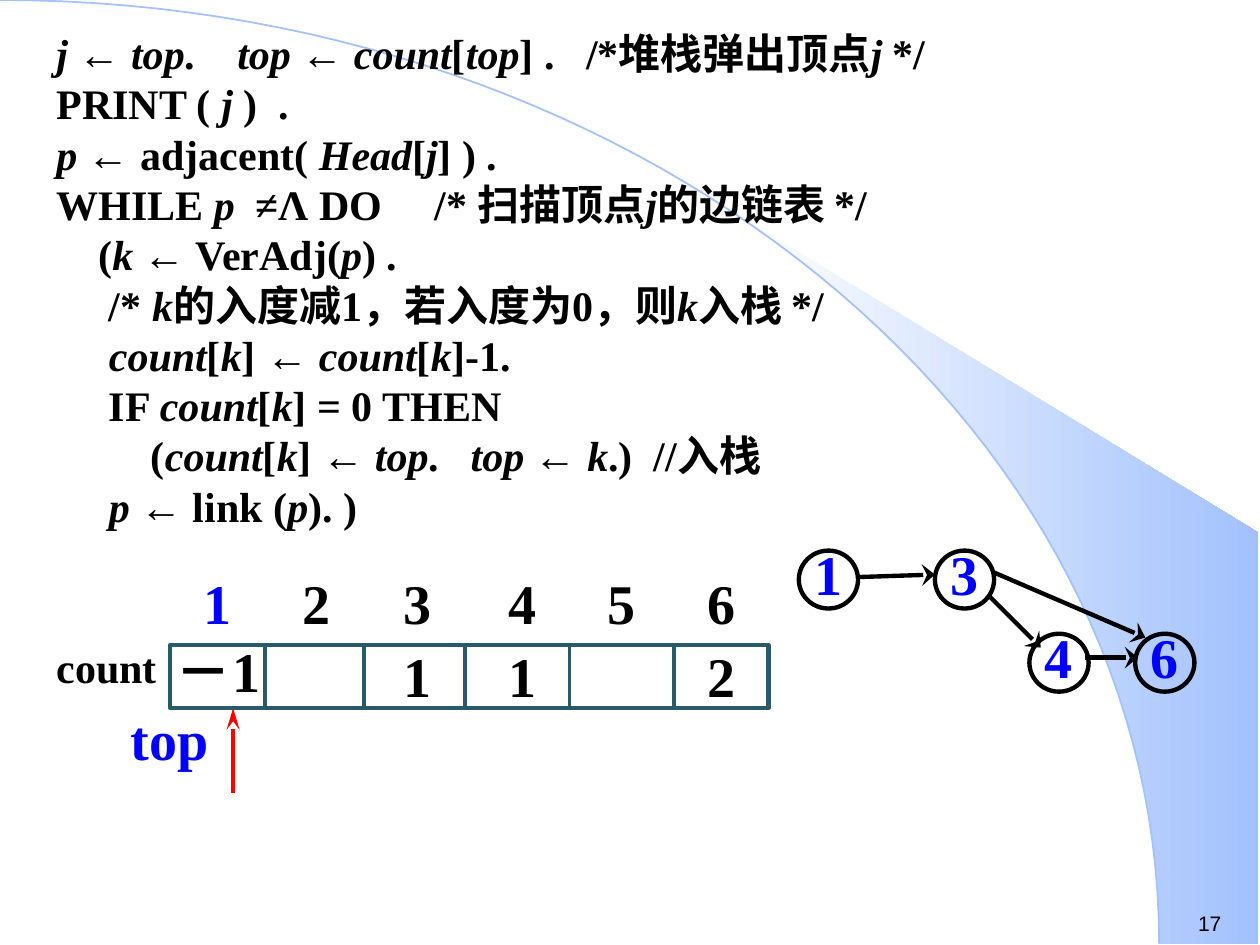
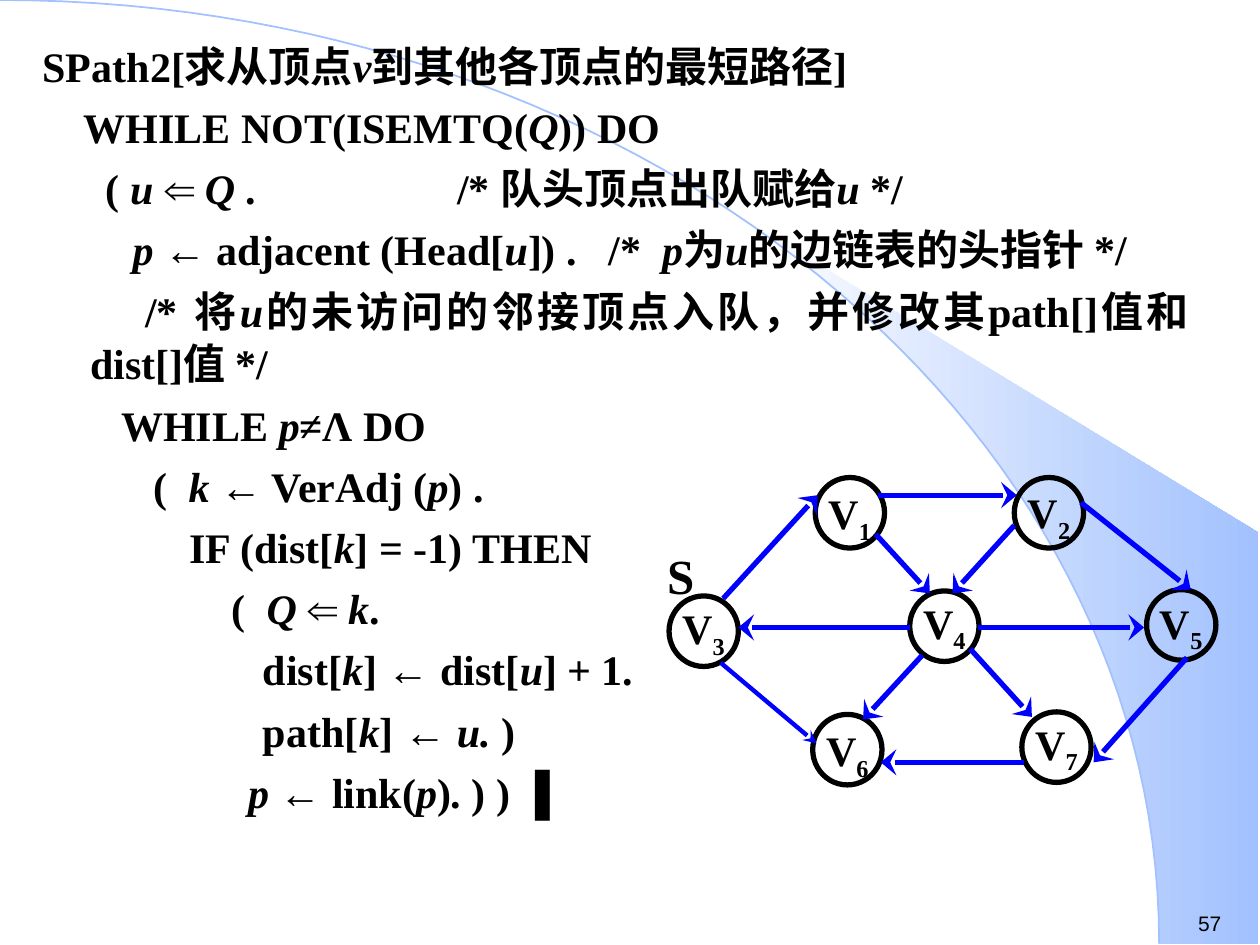
"""Build two slides of graph pseudocode with their diagrams."""
import pptx
import pptx.dml.color
import pptx.enum.shapes
import pptx.enum.text
import pptx.oxml.ns
import pptx.util
from dataclasses import dataclass
from lxml import etree

Inches = pptx.util.Inches
Pt = pptx.util.Pt
Align = pptx.enum.text.PP_ALIGN
Shape = pptx.enum.shapes.MSO_SHAPE
qn = pptx.oxml.ns.qn


@dataclass(frozen=True)
class Theme:
    ink: str = "000000"
    accent: str = "0000FF"
    pointer: str = "FF0000"
    table: str = "295A69"
    white: str = "FFFFFF"
    sky: str = "A2C1FE"
    serif: str = "Times New Roman"
    sans: str = "Arial"
    code: int = 24
    start: int = 28
    large: int = 32
    number: int = 12


theme = Theme()

ARC = [(0, 0), (5.08, 0), (9.2, 3.35), (9.2, 7.49)]
BAND_START = (5.89, 1.73)
BAND_CORNERS = [(9.99, 7.49), (9.99, 4.23)]

# Each code line: left margin, first-line indent, text with _italics_ marked.
TOPOLOGICAL_CODE = [
    (0, 0, "_j _← _top_.    _top _← _count_[_top_] .   /*堆栈弹出顶点_j_ */"),
    (0, 0, "PRINT ( _j _)  ."),
    (0, 0, "_p _← adjacent( _Head_[_j_] ) ."),
    (0, 0, "WHILE_ p  _≠Λ DO\t/* 扫描顶点_j_的边链表 */"),
    (0, 0, "    (_k _← VerAdj(_p_) ."),
    (0, 0, "     /* _k_的入度减1，若入度为0，则_k_入栈 */"),
    (0, 0, "     _count_[_k_] ← _count_[_k_]-1."),
    (0, 0, "     IF _count_[_k_] = 0 THEN"),
    (0, 0, "         (_count_[_k_] ← _top_.   _top _← _k_.)  //入栈"),
    (0, 0, "     _p _← link (_p_). )"),
]
SHORTEST_PATH_CODE = [
    (0, 0, "SPath2[求从顶点_v_到其他各顶点的最短路径]"),
    (0, 0, "    WHILE NOT(ISEMTQ(_Q_)) DO"),
    (0.29, -0.29, "      ( _u _⇐_ Q_ .\t\t\t\t/* 队头顶点出队赋给_u_ */"),
    (0.38, 0, "    _p _← adjacent (Head[_u_]) .   /*  _p_为_u_的边链表的头指针 */"),
    (0.38, 0, "    /* 将_u_的未访问的邻接顶点入队，并修改其path[]值和dist[]值 */"),
    (0.38, 0, "   WHILE _p_≠Λ DO"),
    (0.38, 0, "      (  _k _← VerAdj (_p_) ."),
    (0, 0, "              IF (dist[_k_] = -1) THEN"),
    (0, 0, "                  (  _Q _⇐ _k_."),
    (0, 0, "                     dist[_k_] ← dist[_u_] + 1."),
    (0, 0, "                     path[_k_] ← _u. _)"),
    (0.38, 0, "               _p _← link(_p_). ) ) ▐"),
]

COUNT_EDGES = [1.35, 2.1, 2.89, 3.69, 4.52, 5.35, 6.1]
COUNT_TOP, COUNT_BOTTOM = 5.12, 5.62
COUNT_LABEL_LEFTS = [1.35, 2.14, 2.94, 3.77, 4.56, 5.35]
COUNT_VALUES = [
    (1.19, 5, 1.08, "－1"), (2.94, 5.04, 0.75, "1"),
    (3.77, 5.04, 0.75, "1"), (5.35, 5.04, 0.75, "2"),
]

# Each node: left, top, downward shift of its label.
SMALL_NODES = {
    "1": (6.34, 4.37, -0.05), "3": (7.42, 4.37, -0.05),
    "4": (8.17, 5.03, -0.05), "6": (9.01, 5.03, -0.05),
}
SMALL_ARROWS = [
    (6.81, 4.58, 7.42, 4.56), (7.84, 4.72, 8.26, 5.14),
    (8.61, 5.22, 9.03, 5.22), (7.88, 4.54, 9.09, 5.06),
]
PATH_NODES = {
    "1": (6.47, 3.79, 0.03), "2": (8.05, 3.79, 0.02), "3": (5.31, 4.73, 0),
    "4": (7.22, 4.69, 0), "5": (9.1, 4.68, 0.01), "6": (6.45, 5.67, 0.03),
    "7": (8.11, 5.65, 0),
}
PATH_ARROWS = [
    (5.74, 4.75, 6.49, 3.93), (6.97, 3.93, 8.07, 3.93), (8.58, 3.99, 9.45, 4.68),
    (9.42, 5.22, 8.68, 6.05), (8.13, 6.05, 6.99, 6.05), (7.22, 4.98, 5.86, 4.98),
    (7.76, 4.98, 9.08, 4.98), (6.95, 4.24, 7.38, 4.71), (8.05, 4.17, 7.56, 4.71),
    (7.32, 5.2, 6.85, 5.71), (7.7, 5.15, 8.19, 5.69),
]
PATH_LAST_ARROW = (5.72, 5.26, 6.48, 5.9)

WIDE_HEAD = {"type": "stealth", "w": "lg", "len": "med"}
LONG_HEAD = {"type": "stealth", "w": "med", "len": "lg"}
PLAIN_HEAD = {"type": "stealth", "w": "med", "len": "med"}


def rgb(color):
    return pptx.dml.color.RGBColor.from_string(color)


def style_font(paragraph, size, color=theme.ink, name=theme.serif, bold=True):
    font = paragraph.font
    font.size, font.name, font.bold = Pt(size), name, bold
    font.color.rgb = rgb(color)


def arc_point(t):
    weights = [(1 - t) ** 3, 3 * t * (1 - t) ** 2, 3 * t ** 2 * (1 - t), t ** 3]
    return tuple(sum(w * point[axis] for w, point in zip(weights, ARC)) for axis in (0, 1))


def add_outline(slide, points, close):
    emu = [(Inches(x), Inches(y)) for x, y in points]
    builder = slide.shapes.build_freeform(*emu[0])
    builder.add_line_segments(emu[1:], close=close)
    shape = builder.convert_to_shape()
    shape.shadow.inherit = False
    return shape


def add_backdrop(slide, number):
    arc = [arc_point(step / 60) for step in range(61)]
    band_edge = [BAND_START] + [point for point in arc if point[0] > BAND_START[0]]
    band = add_outline(slide, band_edge + BAND_CORNERS, True)
    band.line.fill.background()
    band.fill.gradient()
    band.fill.gradient_angle = 0
    for stop, color in zip(band.fill.gradient_stops, (theme.white, theme.sky)):
        stop.color.rgb = rgb(color)
    curve = add_outline(slide, arc, False)
    curve.fill.background()
    curve.line.color.rgb = rgb(theme.sky)
    curve.line.width = Pt(1)
    add_label(slide, 9.41, 7.18, 0.59, 0.3, number, theme.number,
              align=Align.LEFT, name=theme.sans, bold=False)


def add_label(slide, left, top, width, height, text, size, color=theme.ink,
              align=Align.CENTER, name=theme.serif, bold=True, inset=0.05):
    box = slide.shapes.add_textbox(Inches(left), Inches(top), Inches(width), Inches(height))
    frame = box.text_frame
    frame.word_wrap = True
    frame.margin_top = frame.margin_bottom = Inches(inset)
    frame.margin_left = frame.margin_right = Inches(2 * inset)
    paragraph = frame.paragraphs[0]
    paragraph.alignment = align
    style_font(paragraph, size, color, name, bold)
    paragraph.add_run().text = text


def add_code(slide, left, top, width, height, lines, line_height, gap=0):
    box = slide.shapes.add_textbox(Inches(left), Inches(top), Inches(width), Inches(height))
    frame = box.text_frame
    frame.word_wrap = True
    for index, (margin, indent, text) in enumerate(lines):
        paragraph = frame.add_paragraph() if index else frame.paragraphs[0]
        paragraph.alignment = Align.JUSTIFY
        paragraph.line_spacing = Pt(line_height)
        if index and gap:
            paragraph.space_before = Pt(gap)
        properties = paragraph._p.get_or_add_pPr()
        properties.set("marL", str(Inches(margin)))
        properties.set("indent", str(Inches(indent)))
        style_font(paragraph, theme.code)
        for part, words in enumerate(text.split("_")):
            if words:
                run = paragraph.add_run()
                run.text = words
                if part % 2:
                    run.font.italic = True


def add_line(slide, ends, color, width, head=None):
    connector = slide.shapes.add_connector(
        pptx.enum.shapes.MSO_CONNECTOR.STRAIGHT, *(Inches(value) for value in ends))
    connector.line.color.rgb = rgb(color)
    connector.line.width = Pt(width)
    if head:
        etree.SubElement(connector.line._get_or_add_ln(), qn("a:tailEnd"), head)
    etree.SubElement(connector._element.spPr, qn("a:effectLst"))


def add_hollow(slide, kind, left, top, width, height, color, line_width):
    shape = slide.shapes.add_shape(
        kind, Inches(left), Inches(top), Inches(width), Inches(height))
    shape.shadow.inherit = False
    shape.fill.background()
    shape.line.color.rgb = rgb(color)
    shape.line.width = Pt(line_width)
    return shape


def add_node(slide, place, size, line_width, text, text_size, color, subscript=""):
    left, top, drop = place
    node = add_hollow(slide, Shape.OVAL, left, top, *size, theme.ink, line_width)
    frame = node.text_frame
    frame.word_wrap = False
    frame.vertical_anchor = pptx.enum.text.MSO_ANCHOR.MIDDLE
    frame.margin_left = frame.margin_right = 0
    frame.margin_top = Inches(max(2 * drop, 0))
    frame.margin_bottom = Inches(max(-2 * drop, 0))
    paragraph = frame.paragraphs[0]
    paragraph.alignment = Align.CENTER
    style_font(paragraph, text_size, color)
    paragraph.add_run().text = text
    if subscript:
        run = paragraph.add_run()
        run.text = subscript
        run._r.get_or_add_rPr().set("baseline", "-25000")


def add_count_array(slide):
    left, right = COUNT_EDGES[0], COUNT_EDGES[-1]
    add_hollow(slide, Shape.RECTANGLE, left, COUNT_TOP, right - left,
               COUNT_BOTTOM - COUNT_TOP, theme.table, 2.5)
    for x in COUNT_EDGES[1:-1]:
        add_line(slide, (x, COUNT_TOP, x, COUNT_BOTTOM), theme.table, 2.25)
    for index, label_left in enumerate(COUNT_LABEL_LEFTS, 1):
        color = theme.accent if index == 1 else theme.ink
        add_label(slide, label_left, 4.46, 0.75, 0.63, str(index), theme.large, color)
    for value_left, top, width, value in COUNT_VALUES:
        add_label(slide, value_left, top, width, 0.63, value, theme.large)
    add_label(slide, 0.35, 5.04, 1.25, 0.5, "count", theme.code, align=Align.LEFT)
    add_label(slide, 0.94, 5.54, 1, 0.63, "top", theme.large, theme.accent, Align.LEFT)
    add_line(slide, (1.85, 6.29, 1.85, COUNT_BOTTOM), theme.pointer, 2.5, LONG_HEAD)


def build_topological_slide(slide):
    add_backdrop(slide, "17")
    for name, place in SMALL_NODES.items():
        add_node(slide, place, (0.47, 0.46), 2.5, name, theme.large, theme.accent)
    for ends in SMALL_ARROWS:
        add_line(slide, ends, theme.ink, 2.5, WIDE_HEAD)
    add_count_array(slide)
    add_code(slide, 0.35, 0.17, 7.4, 4.09, TOPOLOGICAL_CODE, 28.75)


def build_shortest_path_slide(slide):
    add_backdrop(slide, "57")
    add_code(slide, 0.24, 0.25, 9.29, 6.81, SHORTEST_PATH_CODE, 30.2, gap=4.8)
    for name, place in PATH_NODES.items():
        add_node(slide, place, (0.55, 0.56), 3, "V", theme.code, theme.ink, name)
    add_label(slide, 5.16, 4.33, 0.5, 0.63, "S", theme.start, inset=0)
    for ends in PATH_ARROWS:
        add_line(slide, ends, theme.accent, 3, WIDE_HEAD)
    add_line(slide, PATH_LAST_ARROW, theme.accent, 2.5, PLAIN_HEAD)


def main():
    presentation = pptx.Presentation()
    presentation.slide_width, presentation.slide_height = Inches(10), Inches(7.5)
    for build in (build_topological_slide, build_shortest_path_slide):
        build(presentation.slides.add_slide(presentation.slide_layouts[6]))
    presentation.save("out.pptx")


if __name__ == "__main__":
    main()
